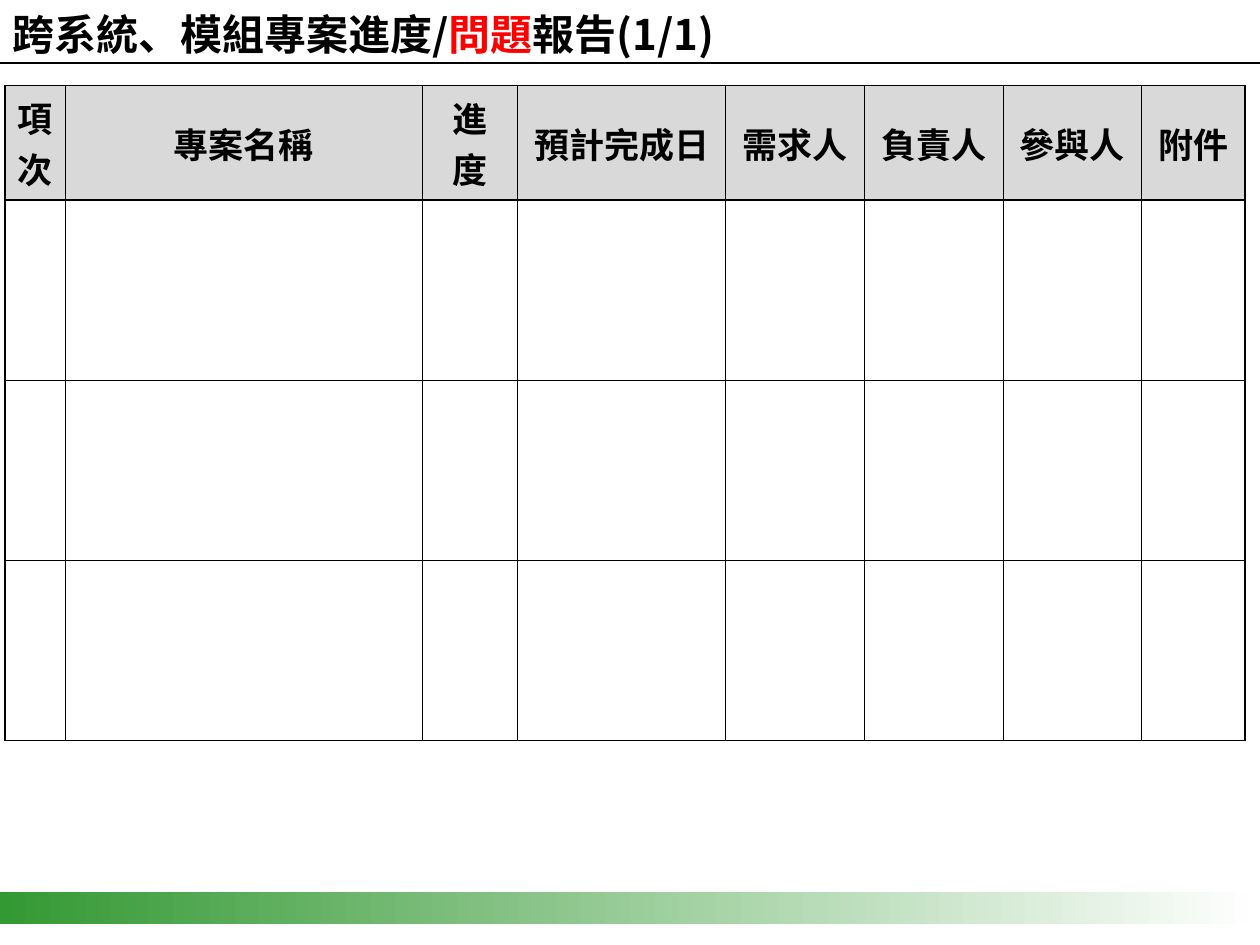
"""Build the cross-system project progress and issue report slide."""
from lxml import etree
from pptx import Presentation
from pptx.dml.color import RGBColor
from pptx.enum import shapes, text
from pptx.oxml.ns import qn
from pptx.util import Pt

BLACK = RGBColor(0, 0, 0)
RED = RGBColor(0xFF, 0, 0)
GRAY = RGBColor(0xD9, 0xD9, 0xD9)
GREEN = RGBColor(0x33, 0x99, 0x33)
WHITE = RGBColor(0xFF, 0xFF, 0xFF)
FONT = "Noto Sans CJK SC"

TITLE = [("跨系統、模組專案進度/", BLACK), ("問題", RED), ("報告(1/1)", BLACK)]
COLUMNS = [
    ("項\n次", 34.56), ("專案名稱", 203.76), ("進\n度", 54.72), ("預計完成日", 118.8),
    ("需求人", 79.2), ("負責人", 79.2), ("參與人", 79.2), ("附件", 59.04),
]
ROW_HEIGHTS = [56.88] + [102.96] * 3
SLIDE_WIDTH, SLIDE_HEIGHT = 720, 540
THICK, MEDIUM, THIN = 0.96, 0.45, 0.23


def style_paragraph(paragraph, size, alignment):
    paragraph.alignment = alignment
    paragraph.font.size = Pt(size)
    paragraph.font.bold = True
    paragraph.font.name = FONT
    defaults = paragraph._p.pPr.find(qn("a:defRPr"))
    etree.SubElement(defaults, qn("a:ea"), typeface=FONT)


def set_borders(cell, widths):
    properties = cell._tc.get_or_add_tcPr()
    for side, width in zip("LRTB", widths):
        line = etree.SubElement(properties, qn(f"a:ln{side}"), w=str(Pt(width)))
        fill = etree.SubElement(line, qn("a:solidFill"))
        etree.SubElement(fill, qn("a:srgbClr"), val=str(BLACK))


def add_footer_band(slide):
    band = slide.shapes.add_shape(
        shapes.MSO_SHAPE.RECTANGLE, 0, Pt(509.76), Pt(SLIDE_WIDTH), Pt(18))
    band.shadow.inherit = False
    band.line.fill.background()
    band.fill.gradient()
    band.fill.gradient_angle = 0
    for stop, color, position in zip(band.fill.gradient_stops, (GREEN, WHITE), (0, 1)):
        stop.color.rgb = color
        stop.position = position


def add_title_rule(slide):
    rule = slide.shapes.add_connector(
        shapes.MSO_CONNECTOR.STRAIGHT, 0, Pt(36), Pt(SLIDE_WIDTH), Pt(36))
    rule.line.color.rgb = BLACK
    rule.line.width = Pt(0.75)
    etree.SubElement(rule._element.spPr, qn("a:effectLst"))


def fill_title(slide):
    title = slide.shapes.title
    title.left, title.top, title.width, title.height = 0, Pt(-2.16), Pt(612), Pt(43.2)
    frame = title.text_frame
    frame.auto_size = text.MSO_AUTO_SIZE.NONE
    frame.vertical_anchor = text.MSO_ANCHOR.MIDDLE
    paragraph = frame.paragraphs[0]
    for wording, color in TITLE:
        run = paragraph.add_run()
        run.text = wording
        run.font.color.rgb = color
    style_paragraph(paragraph, 24, text.PP_ALIGN.LEFT)


def add_project_table(slide):
    widths = [width for _, width in COLUMNS]
    table = slide.shapes.add_table(
        len(ROW_HEIGHTS), len(COLUMNS), Pt(2.88), Pt(48.96),
        Pt(sum(widths)), Pt(sum(ROW_HEIGHTS))).table
    table.first_row = table.horz_banding = False
    for column, width in zip(table.columns, widths):
        column.width = Pt(width)
    last = len(COLUMNS) - 1
    for row_index, height in enumerate(ROW_HEIGHTS):
        table.rows[row_index].height = Pt(height)
        for column_index, (heading, _) in enumerate(COLUMNS):
            cell = table.cell(row_index, column_index)
            set_borders(cell, (
                THICK if column_index == 0 else MEDIUM,
                THICK if column_index == last else MEDIUM,
                THICK if row_index <= 1 else THIN,
                THICK if row_index == 0 else THIN))
            if row_index:
                cell.fill.background()
                continue
            cell.fill.solid()
            cell.fill.fore_color.rgb = GRAY
            cell.vertical_anchor = text.MSO_ANCHOR.MIDDLE
            cell.text_frame.text = heading
            for paragraph in cell.text_frame.paragraphs:
                style_paragraph(paragraph, 20, text.PP_ALIGN.CENTER)
                paragraph.font.color.rgb = BLACK


def main():
    presentation = Presentation()
    presentation.slide_width, presentation.slide_height = Pt(SLIDE_WIDTH), Pt(SLIDE_HEIGHT)
    slide = presentation.slides.add_slide(presentation.slide_layouts[5])
    add_footer_band(slide)
    add_title_rule(slide)
    add_project_table(slide)
    fill_title(slide)
    presentation.save("out.pptx")


if __name__ == "__main__":
    main()
